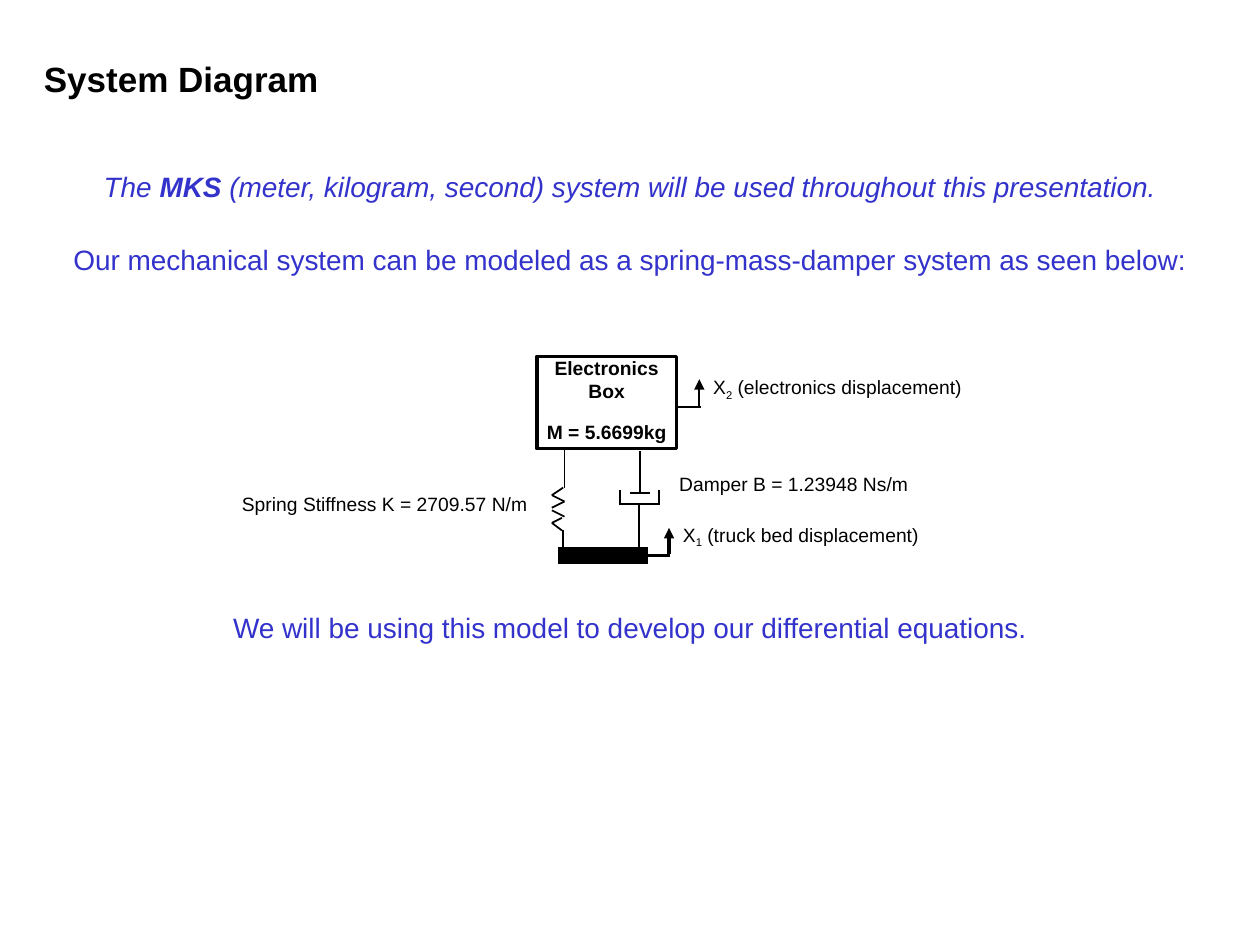
from collections import namedtuple

from lxml import etree
from pptx import Presentation
from pptx.dml.color import RGBColor
from pptx.enum import shapes, text
from pptx.oxml import ns
from pptx.util import Inches, Pt

COLORS = {"ink": "000000", "statement": "3333CC"}
FONT = "Arial"
COLUMNS, ROWS = 100, 75
CELL = Inches(10) / COLUMNS

Box = namedtuple("Box", "left top width height")
Span = namedtuple("Span", "text bold italic baseline", defaults=(False, False, 0))


def grid(*cells):
    return [round(cell * CELL) for cell in cells]


def write(para, spans, size, color, align=None):
    para.alignment = align
    for span in spans:
        run = para.add_run()
        run.text = span.text
        font = run.font
        font.name, font.size = FONT, Pt(size)
        font.bold, font.italic = span.bold, span.italic
        font.color.rgb = RGBColor.from_string(COLORS[color])
        if span.baseline:
            run._r.get_or_add_rPr().set("baseline", str(span.baseline * 1000))


def set_margins(frame, horizontal=0, vertical=0):
    frame.margin_left = frame.margin_right = Inches(horizontal)
    frame.margin_top = frame.margin_bottom = Inches(vertical)
    frame.word_wrap = True


def add_line(page, start, end, weight=1, arrow=False):
    line = page.shapes.add_connector(
        shapes.MSO_CONNECTOR.STRAIGHT, *grid(*start, *end))
    line.line.width = Pt(weight)
    line.line.color.rgb = RGBColor.from_string(COLORS["ink"])
    if arrow:
        outline = line.line._get_or_add_ln()
        etree.SubElement(outline, ns.qn("a:tailEnd"), type="triangle")
    etree.SubElement(line._element.spPr, ns.qn("a:effectLst"))


def add_strokes(page, box, strokes):
    """Draw each stroke as a chain of lines, measured from the box's corner."""
    for stroke in strokes:
        points = [(box.left + x, box.top + y) for x, y in stroke]
        for start, end in zip(points, points[1:]):
            add_line(page, start, end)


def add_label(page, box, *spans):
    label = page.shapes.add_textbox(*grid(*box))
    set_margins(label.text_frame)
    write(label.text_frame.paragraphs[0], spans, 11, "ink")


def add_title(page, box):
    frame = page.shapes.add_textbox(*grid(*box)).text_frame
    set_margins(frame, 0.1, 0.05)
    frame.vertical_anchor = text.MSO_ANCHOR.MIDDLE
    write(frame.paragraphs[0], [Span("System Diagram", bold=True)], 20, "ink")


def add_statement(page, box, *spans):
    frame = page.shapes.add_textbox(*grid(*box)).text_frame
    set_margins(frame, 0.1, 0.05)
    write(frame.paragraphs[0], spans, 16, "statement", text.PP_ALIGN.CENTER)


def add_mass(page, box):
    mass = page.shapes.add_shape(shapes.MSO_SHAPE.RECTANGLE, *grid(*box))
    mass.shadow.inherit = False
    mass.fill.background()
    mass.line.width = Pt(2)
    mass.line.color.rgb = RGBColor.from_string(COLORS["ink"])
    frame = mass.text_frame
    set_margins(frame)
    frame.vertical_anchor = text.MSO_ANCHOR.TOP
    name, value = frame.paragraphs[0], frame.add_paragraph()
    value.space_before = Pt(10)
    for para, words in ((name, "Electronics Box"), (value, "M = 5.6699kg")):
        write(para, [Span(words, bold=True)], 11, "ink", text.PP_ALIGN.CENTER)


def add_spring(page, box):
    right = box.width
    add_strokes(page, box, [
        [(right, 0), (right, 3)],
        [(0.9, 3), (0, 3.6), (right, 4.1), (0, 4.6)],
        [(0, 4.8), (right, 5.3)],
        [(0.8, 5.4), (0, 5.8), (0.8, 6.4)],
        [(0.9, 6.4), (0.9, box.height)],
    ])


def add_damper(page, box):
    middle, right = box.width / 2, box.width
    add_strokes(page, box, [
        [(middle + 0.1, 0), (middle + 0.1, 3.3)],      # piston rod
        [(middle - 0.7, 3.3), (middle + 0.9, 3.3)],    # piston
        [(0.1, 3.1), (0.1, 4.3)],                      # cylinder
        [(0, 4.2), (right - 0.1, 4.2)],
        [(right, 3.1), (right, 4.3)],
        [(middle, 4.3), (middle, box.height)],         # lower rod
    ])


def add_displacement(page, box, weight, index, words):
    """Draw an upward arrow from the box's lower left corner, and its label."""
    bottom, stem = box.top + box.height, box.left + 1.8
    add_line(page, (box.left, bottom), (stem + 0.1, bottom), weight)
    add_line(page, (stem, bottom - 0.1), (stem, bottom - 2.2), weight, arrow=True)
    add_label(page, Box(box.left + 2.9, box.top, box.width - 2.9, 2.1),
              Span("X"), Span(index, baseline=-25), Span(words))


def add_diagram(page, box):
    left, top = box.left, box.top
    add_mass(page, Box(left + 23.4, top, 11.1, 7.3))
    add_spring(page, Box(left + 24.6, top + 7.4, 1, 8.7))
    add_damper(page, Box(left + 29.9, top + 7.5, 3.2, 8.3))

    # Truck bed
    bed = top + box.height
    add_line(page, (left + 25.1, bed), (left + 32.2, bed), 10)

    # Labels and displacement arrows
    add_label(page, Box(left + 34.7, top + 9.2, 23.8, 1.8),
              Span("Damper B = 1.23948 Ns/m"))
    add_label(page, Box(left, top + 10.8, 24.2, 1.8),
              Span("Spring Stiffness K = 2709.57 N/m"))
    add_displacement(page, Box(left + 32.1, bed - 2.6, 21.7, 2.6), 2,
                     "1", " (truck bed displacement)")
    add_displacement(page, Box(left + 34.5, top + 1.5, 28, 2.5), 1,
                     "2", " (electronics displacement)")


def main():
    deck = Presentation()
    deck.slide_width, deck.slide_height = grid(COLUMNS, ROWS)
    page = deck.slides.add_slide(deck.slide_layouts[6])

    add_title(page, Box(2.5, 2.5, 30, 7.5))
    add_statement(
        page, Box(0, 13, COLUMNS, 3.7),
        Span("The ", italic=True), Span("MKS ", bold=True, italic=True),
        Span("(meter, kilogram, second) system will be used throughout "
             "this presentation.", italic=True))
    add_statement(
        page, Box(0, 18.8, COLUMNS, 3.7),
        Span("Our mechanical system can be modeled as a spring-mass-damper "
             "system as seen below:"))
    add_diagram(page, Box(19.2, 28.3, 62.5, 15.8))
    add_statement(
        page, Box(0, 48, COLUMNS, 3.7),
        Span("We will be using this model to develop our differential equations."))

    deck.save("out.pptx")


if __name__ == "__main__":
    main()
